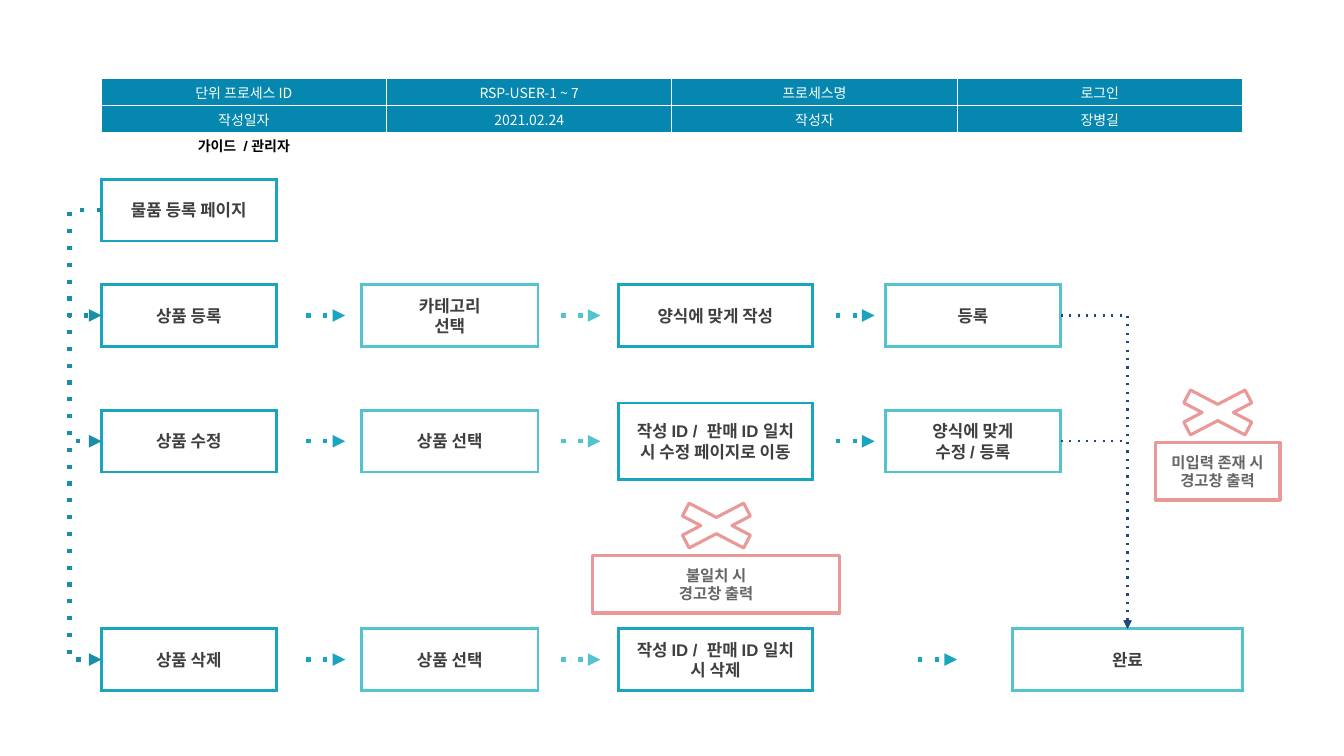
from lxml import etree
from pptx import Presentation
from pptx.dml.color import RGBColor
from pptx.enum.shapes import MSO_CONNECTOR, MSO_SHAPE
from pptx.enum.text import MSO_ANCHOR, PP_ALIGN
from pptx.oxml.ns import qn
from pptx.util import Cm, Pt

RECTANGLE, CROSS = MSO_SHAPE.RECTANGLE, MSO_SHAPE.MATH_MULTIPLY
STRAIGHT, ELBOW = MSO_CONNECTOR.STRAIGHT, MSO_CONNECTOR.ELBOW
CENTER, MIDDLE = PP_ALIGN.CENTER, MSO_ANCHOR.MIDDLE

TEAL = RGBColor(0x19, 0xA5, 0xBE)
AQUA = RGBColor(0x53, 0xC3, 0xCD)
DEEP_TEAL = RGBColor(0x1A, 0x8E, 0xA9)
NAVY = RGBColor(0x1F, 0x49, 0x7D)
PINK = RGBColor(0xEA, 0x99, 0x99)
TABLE_BLUE = RGBColor(0x05, 0x87, 0xAF)
WHITE = RGBColor(0xFF, 0xFF, 0xFF)
BLACK = RGBColor(0x00, 0x00, 0x00)
DARK = RGBColor(0x3F, 0x3F, 0x3F)
GRAY = RGBColor(0x66, 0x66, 0x66)

# Lengths in centimetres
BOX_HEIGHT = 1.55
LEFT_SITE, RIGHT_SITE, TOP_SITE = 1, 3, 0
START_Y, REGISTER_Y, EDIT_Y, DELETE_Y = 5.3, 7.95, 11.12, 16.62  # row centres
# Column: left, width, side inset, line colour
MENU = (2.55, 4.42, 0.25, TEAL)
CHOICE = (9.11, 4.45, 1.1, AQUA)
CHECK = (15.58, 4.9, 0.45, TEAL)
FORM = (22.31, 4.42, 0.25, AQUA)
FINISH = (25.52, 5.79, 0.25, AQUA)

HEADER = [
    ["단위 프로세스 ID", "RSP-USER-1 ~ 7", "프로세스명", "로그인"],
    ["작성일자", "2021.02.24", "작성자", "장병길"],
]
STEPS = [
    (MENU, START_Y, "물품 등록 페이지"),
    (MENU, REGISTER_Y, "상품 등록"),
    (CHOICE, REGISTER_Y, "카테고리 선택"),
    (CHECK, REGISTER_Y, "양식에 맞게 작성"),
    (FORM, REGISTER_Y, "등록"),
    (MENU, EDIT_Y, "상품 수정"),
    (CHOICE, EDIT_Y, "상품 선택"),
    (CHECK, EDIT_Y, "작성 ID /  판매 ID 일치 시 수정 페이지로 이동"),
    (FORM, EDIT_Y, "양식에 맞게\n수정 / 등록"),
    (MENU, DELETE_Y, "상품 삭제"),
    (CHOICE, DELETE_Y, "상품 선택"),
    (CHECK, DELETE_Y, "작성 ID /  판매 ID 일치 시 삭제"),
    (FINISH, DELETE_Y, "완료"),
]
ARROWS = [(x, y, color)
          for y, last_x in ((REGISTER_Y, 21.06), (EDIT_Y, 21.06), (DELETE_Y, 23.14))
          for x, color in ((7.72, TEAL), (14.15, AQUA), (last_x, TEAL))]


def write(frame, text, size, color, font="Arial", bold=True):
    frame.text = text
    for para in frame.paragraphs:
        para.alignment = CENTER
        for span in para.runs:
            span.font.name = font
            span.font.size = Pt(size)
            span.font.bold = bold
            span.font.color.rgb = color


def add_outlined(page, kind, left, top, width, height, color, weight):
    shape = page.shapes.add_shape(kind, Cm(left), Cm(top), Cm(width), Cm(height))
    shape.shadow.inherit = False
    shape.fill.background()
    shape.line.color.rgb = color
    shape.line.width = Pt(weight)
    return shape


def set_frame(frame, inset):
    frame.word_wrap = True
    frame.vertical_anchor = MIDDLE
    frame.margin_left = frame.margin_right = Cm(inset)
    frame.margin_top = frame.margin_bottom = Cm(0.13)


def add_step(page, column, center_y, text):
    left, width, inset, color = column
    height = 1.93 if center_y == EDIT_Y and column is CHECK else BOX_HEIGHT
    box = add_outlined(page, RECTANGLE, left, center_y - height / 2, width, height, color, 2)
    etree.SubElement(box.line._get_or_add_ln(), qn("a:miter"), lim="800000")
    set_frame(box.text_frame, inset)
    write(box.text_frame, text, 12, DARK)
    return box


def add_warning(page, left, top, width, text):
    cross = add_outlined(page, CROSS, left + width / 2 - 1.48, top - 1.53, 2.97, 1.55, PINK, 2.25)
    cross.adjustments[0] = 0.235
    cross.fill.solid()
    cross.fill.fore_color.rgb = WHITE
    box = add_outlined(page, RECTANGLE, left, top, width, 1.45, PINK, 2.25)
    set_frame(box.text_frame, 0.25)
    write(box.text_frame, text, 11, GRAY)


def style_dotted_arrow(connector, color, weight):
    connector.line.color.rgb = color
    connector.line.width = Pt(weight)
    line = connector.line._get_or_add_ln()
    etree.SubElement(line, qn("a:prstDash"), val="dot")
    etree.SubElement(line, qn("a:tailEnd"), type="triangle")
    etree.SubElement(connector._element.spPr, qn("a:effectLst"))


def add_arrow(page, left, y, color):
    arrow = page.shapes.add_connector(STRAIGHT, Cm(left), Cm(y), Cm(left + 0.98), Cm(y))
    style_dotted_arrow(arrow, color, 3)


def add_elbow(page, source, source_site, target, target_site, color, weight):
    # Starting at the two boxes keeps the connector unflipped
    elbow = page.shapes.add_connector(ELBOW, source.left, source.top, target.left, target.top)
    elbow.begin_connect(source, source_site)
    elbow.end_connect(target, target_site)
    style_dotted_arrow(elbow, color, weight)
    return elbow


def add_menu_branch(page, source, target):
    branch = add_elbow(page, source, LEFT_SITE, target, LEFT_SITE, DEEP_TEAL, 3)
    # The bend lies 0.8 cm to the left, given as a share of the width
    branch.width = Cm(0.01)
    guides = branch._element.spPr.find(qn("a:prstGeom")).find(qn("a:avLst"))
    etree.SubElement(guides, qn("a:gd"), name="adj1", fmla="val -8000000")


def add_finish_branch(page, source, target):
    branch = add_elbow(page, source, RIGHT_SITE, target, TOP_SITE, NAVY, 1.5)
    branch._element.spPr.find(qn("a:prstGeom")).set("prst", "bentConnector2")


def set_borders(cell):
    properties = cell._tc.get_or_add_tcPr()
    for index, side in enumerate(("lnL", "lnR", "lnT", "lnB")):
        border = etree.Element(qn("a:" + side), w=str(Pt(1)))
        fill = etree.SubElement(border, qn("a:solidFill"))
        etree.SubElement(fill, qn("a:srgbClr"), val=str(WHITE))
        properties.insert(index, border)


def add_header(page):
    table = page.shapes.add_table(2, 4, Cm(2.55), Cm(1.98), Cm(28.76), Cm(1.36)).table
    table.first_row = table.horz_banding = False
    for row, texts in zip(table.rows, HEADER):
        for cell, text in zip(row.cells, texts):
            cell.fill.solid()
            cell.fill.fore_color.rgb = TABLE_BLUE
            cell.vertical_anchor = MIDDLE
            cell.margin_top = cell.margin_bottom = Cm(0.08)
            write(cell.text_frame, text, 10, WHITE, "Noto Sans CJK KR", False)
            set_borders(cell)


def add_role_label(page):
    label = page.shapes.add_textbox(Cm(2.55), Cm(3.37), Cm(7.19), Cm(0.66))
    set_frame(label.text_frame, 0.25)
    write(label.text_frame, "가이드  / 관리자", 10, BLACK, "Manrope")
    label.text_frame.paragraphs[0].line_spacing = 0.9


def main():
    deck = Presentation()
    deck.slide_width, deck.slide_height = Cm(33.87), Cm(19.05)
    page = deck.slides.add_slide(deck.slide_layouts[6])

    # Process header
    add_header(page)
    add_role_label(page)

    # Steps and the arrows between them
    boxes = {(column, y): add_step(page, column, y, text) for column, y, text in STEPS}
    for x, y, color in ARROWS:
        add_arrow(page, x, y, color)

    # Branches from the start page and into the last step
    for y in (REGISTER_Y, EDIT_Y, DELETE_Y):
        add_menu_branch(page, boxes[MENU, START_Y], boxes[MENU, y])
    for y in (REGISTER_Y, EDIT_Y):
        add_finish_branch(page, boxes[FORM, y], boxes[FINISH, DELETE_Y])

    # Warnings
    add_warning(page, 14.94, 14, 6.22, "불일치 시\n경고창 출력")
    add_warning(page, 29.11, 11.15, 3.15, "미입력 존재 시 경고창 출력")

    deck.save("out.pptx")


if __name__ == "__main__":
    main()
